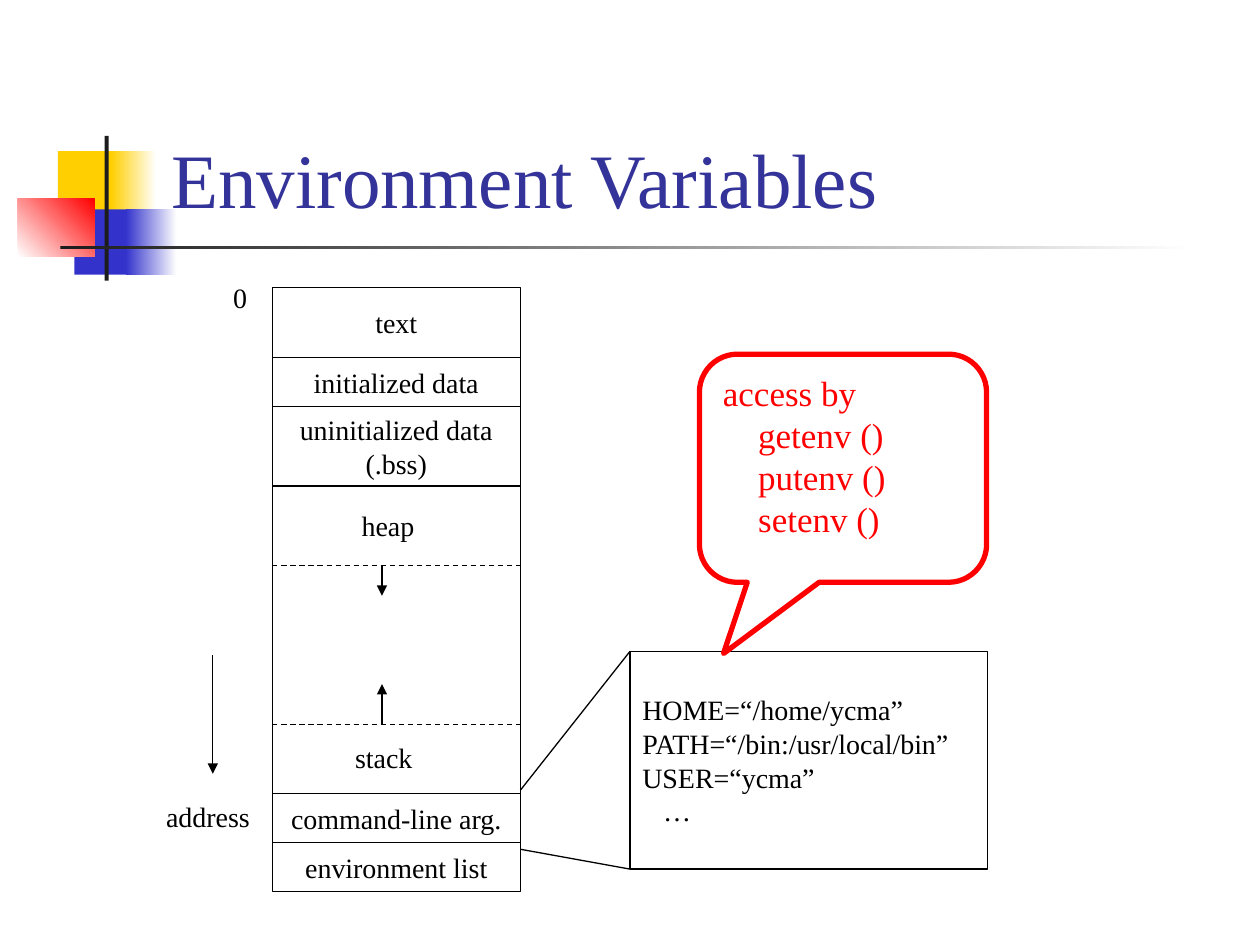
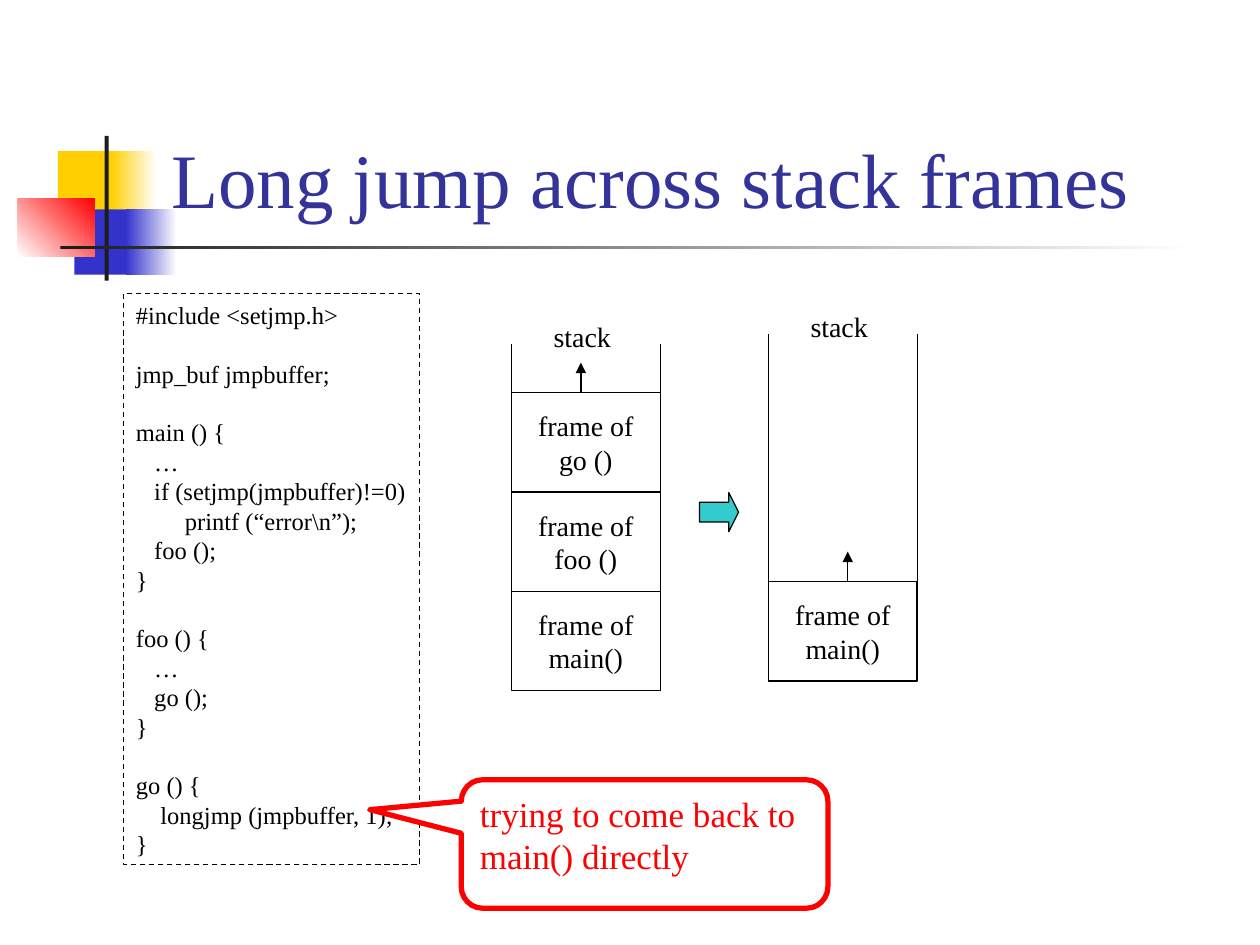
from dataclasses import dataclass
from itertools import accumulate
from typing import Any, Optional

from lxml.etree import SubElement
from pptx import Presentation
from pptx.dml.color import RGBColor
from pptx.enum.dml import MSO_LINE
from pptx.enum.shapes import MSO_CONNECTOR, MSO_SHAPE
from pptx.enum.text import MSO_ANCHOR, PP_ALIGN
from pptx.oxml.ns import qn
from pptx.util import Cm, Pt

# Shared style
COLORS = {
    "black": "000000", "white": "FFFFFF", "title": "333399", "yellow": "FFCF01",
    "blue": "3333CC", "red": "FF0000", "dark": "1C1C1C", "teal": "33CCCC",
}
FONT = "Times New Roman"
LINE_PITCH = 1.2
LABEL_HEIGHT = 0.94
CENTERED = {"align": PP_ALIGN.CENTER, "anchor": MSO_ANCHOR.MIDDLE}


@dataclass(frozen=True)
class Area:
    left: float
    top: float
    width: float
    height: float

    def lengths(self) -> list:
        return [Cm(v) for v in (self.left, self.top, self.width, self.height)]


@dataclass(frozen=True)
class Line:
    text: str
    indent: float = 0
    gap: float = 0


@dataclass(frozen=True)
class TextStyle:
    size: int = 16
    color: str = "black"
    align: Any = PP_ALIGN.LEFT
    anchor: Any = MSO_ANCHOR.TOP
    wrap: bool = False


@dataclass(frozen=True)
class Band:
    area: Area
    color: str
    fade_to: Optional[str] = None
    angle: int = 0


@dataclass(frozen=True)
class Stack:
    left: float
    rail_top: float
    frame_top: float
    arrow_offset: float
    functions: tuple


BANDS = (
    Band(Area(1.17, 3.05, 1.22, 1.32), "yellow"),
    Band(Area(2.24, 3.05, 0.91, 1.32), "yellow", "white"),
    Band(Area(1.5, 4.22, 1.17, 1.32), "blue"),
    Band(Area(2.54, 4.22, 1.02, 1.32), "blue", "white"),
    Band(Area(0.36, 4.01, 1.55, 1.17), "white", "red", 45),
    Band(Area(2.11, 2.74, 0.08, 2.92), "dark"),
    Band(Area(1.22, 4.95, 22.86, 0.08), "dark", "white"),
)
CELL = TextStyle(**CENTERED)
LABEL = TextStyle()
TITLE = TextStyle(44, "title", anchor=MSO_ANCHOR.BOTTOM, wrap=True)
NOTE = TextStyle(20, "red", wrap=True)
LISTING = TextStyle(14)
ENVIRONMENT = TextStyle(anchor=MSO_ANCHOR.MIDDLE, wrap=True)


def rgb(name: str) -> RGBColor:
    return RGBColor.from_string(COLORS[name])


def apply(target: Any, values: dict) -> None:
    for name, value in values.items():
        setattr(target, name, value)


def write(box: Any, lines: list, style: TextStyle) -> None:
    frame = box.text_frame
    apply(frame, {"word_wrap": style.wrap, "vertical_anchor": style.anchor})
    for index, line in enumerate(lines):
        para = frame.add_paragraph() if index else frame.paragraphs[0]
        apply(para, {"alignment": style.align,
                     "line_spacing": Pt(style.size * LINE_PITCH)})
        if line.gap:
            para.space_before = Pt(line.gap)
        if line.indent:
            para._p.get_or_add_pPr().set("marL", str(Cm(line.indent)))
        span = para.add_run()
        span.text = line.text
        apply(span.font, {"name": FONT, "size": Pt(style.size)})
        span.font.color.rgb = rgb(style.color)


def add_text(page: Any, area: Area, text: str, style: TextStyle = LABEL) -> None:
    write(page.shapes.add_textbox(*area.lengths()), [Line(text)], style)


def add_box(page: Any, area: Area, kind: Any = MSO_SHAPE.RECTANGLE,
            fill: Optional[str] = None, outline: Optional[str] = "black",
            weight: float = 0.75) -> Any:
    box = page.shapes.add_shape(kind, *area.lengths())
    box.shadow.inherit = False
    if fill:
        box.fill.solid()
        box.fill.fore_color.rgb = rgb(fill)
    else:
        box.fill.background()
    if outline:
        box.line.color.rgb = rgb(outline)
        box.line.width = Pt(weight)
    else:
        box.line.fill.background()
    return box


def add_cell(page: Any, area: Area, *texts: str) -> None:
    write(add_box(page, area), [Line(text) for text in texts], CELL)


def add_callout(page: Any, area: Area, tip: tuple, lines: list,
                fill: Optional[str] = None) -> None:
    box = add_box(page, area, MSO_SHAPE.ROUNDED_RECTANGULAR_CALLOUT, fill, "red", 3)
    for index, value in enumerate((*tip, 0.167)):
        box.adjustments[index] = value
    write(box, lines, NOTE)


def add_line(page: Any, start: tuple, end: tuple, arrow: bool = False,
             dashed: bool = False) -> None:
    points = [Cm(value) for value in (*start, *end)]
    line = page.shapes.add_connector(MSO_CONNECTOR.STRAIGHT, *points)
    line.line.color.rgb = rgb("black")
    line.line.width = Pt(0.75)
    if dashed:
        line.line.dash_style = MSO_LINE.DASH
    if arrow:
        SubElement(line.line._get_or_add_ln(), qn("a:tailEnd"), type="triangle")
    SubElement(line._element.spPr, qn("a:effectLst"))


def add_band(page: Any, band: Band) -> None:
    box = add_box(page, band.area, fill=band.color, outline=None)
    if band.fade_to:
        box.fill.gradient()
        box.fill.gradient_angle = band.angle
        for stop, color in zip(box.fill.gradient_stops, (band.color, band.fade_to)):
            stop.color.rgb = rgb(color)


def add_page(deck: Any, title: str) -> Any:
    page = deck.slides.add_slide(deck.slide_layouts[6])
    for band in BANDS:
        add_band(page, band)
    add_text(page, Area(3.2, 0.58, 21.64, 4.06), title, TITLE)
    return page


def add_stack(page: Any, stack: Stack) -> None:
    width, height = 3.0, 2.0
    for index, function in enumerate(stack.functions):
        area = Area(stack.left, stack.frame_top + index * height, width, height)
        add_cell(page, area, "frame of", function)
    for x in (stack.left, stack.left + width):
        add_line(page, (x, stack.frame_top), (x, stack.rail_top))
    x = stack.left + stack.arrow_offset
    add_line(page, (x, stack.frame_top), (x, stack.frame_top - 0.61), arrow=True)
    label = Area(stack.left + 0.6, stack.rail_top - 0.61, 1.68, LABEL_HEIGHT)
    add_text(page, label, "stack")


def build_environment(deck: Any) -> None:
    page = add_page(deck, "Environment Variables")

    # Memory segments, stacked from address 0 downwards
    left, top, width = 5.49, 5.79, 5.0
    segments = (
        (1.42, ("text",)),
        (0.99, ("initialized data",)),
        (1.6, ("uninitialized data", "(.bss)")),
        (6.2, ()),
        (0.99, ("command-line arg.",)),
        (0.99, ("environment list",)),
    )
    tops = accumulate((height for height, _ in segments), initial=top)
    for (height, texts), y in zip(segments, tops):
        add_cell(page, Area(left, y, width, height), *texts)

    # Heap and stack grow towards each other
    for edge, tip in ((11.4, 12.01), (14.61, 13.79)):
        add_line(page, (left, edge), (left + width, edge), dashed=True)
        add_line(page, (7.7, edge), (7.7, tip), arrow=True)
    add_line(page, (4.29, 13.21), (4.29, 15.6), arrow=True)
    for text, x, y, label_width in (
        ("heap", 7.04, 10.13, 1.57), ("stack", 6.91, 14.81, 1.68),
        ("0", 4.45, 5.54, 0.79), ("address", 3.1, 16.0, 2.21),
    ):
        add_text(page, Area(x, y, label_width, LABEL_HEIGHT), text)

    # Enlarged environment list
    detail = Area(12.7, 13.13, 7.21, 4.39)
    write(add_box(page, detail), [
        Line("HOME=“/home/ycma”"), Line("PATH=“/bin:/usr/local/bin”"),
        Line("USER=“ycma”"), Line("…", indent=0.42),
    ], ENVIRONMENT)
    for y, corner in ((15.93, detail.top), (17.12, detail.top + detail.height)):
        add_line(page, (left + width, y), (detail.left, corner))

    calls = [Line(f"{name} ()", indent=0.71) for name in ("getenv", "putenv", "setenv")]
    add_callout(page, Area(14.1, 7.14, 5.79, 4.6), (-0.416, 0.812),
                [Line("access by"), *calls])


def build_long_jump(deck: Any) -> None:
    page = add_page(deck, "Long jump across stack frames")

    # Program listing, one tuple per block
    blocks = (
        ("#include <setjmp.h>",),
        ("jmp_buf jmpbuffer;",),
        ("main () {", "   …", "   if (setjmp(jmpbuffer)!=0)",
         "        printf (“error\\n”);", "   foo ();", "}"),
        ("foo () {", "   …", "   go ();", "}"),
        ("go () {", "    longjmp (jmpbuffer, 1);", "}"),
    )
    block_gap = LISTING.size * LINE_PITCH
    lines = [Line(text, gap=block_gap if number and not row else 0)
             for number, block in enumerate(blocks)
             for row, text in enumerate(block)]
    listing = add_box(page, Area(2.49, 5.92, 5.97, 11.51))
    listing.line.dash_style = MSO_LINE.DASH
    write(listing, lines, LISTING)

    add_callout(page, Area(9.3, 15.72, 7.39, 2.59), (-0.749, -0.267),
                [Line("trying to come back to main() directly")], "white")

    # Stack before and after the jump
    add_stack(page, Stack(10.31, 6.93, 7.92, 1.4, ("go ()", "foo ()", "main()")))
    add_stack(page, Stack(15.49, 6.73, 11.73, 1.6, ("main()",)))
    jump = add_box(page, Area(14.1, 9.93, 0.79, 0.79), MSO_SHAPE.RIGHT_ARROW, "teal")
    jump.adjustments[0] = 0.5
    jump.adjustments[1] = 0.25


def main() -> None:
    deck = Presentation()
    apply(deck, {"slide_width": Cm(25.4), "slide_height": Cm(19.05)})
    build_environment(deck)
    build_long_jump(deck)
    deck.save("out.pptx")


if __name__ == "__main__":
    main()
